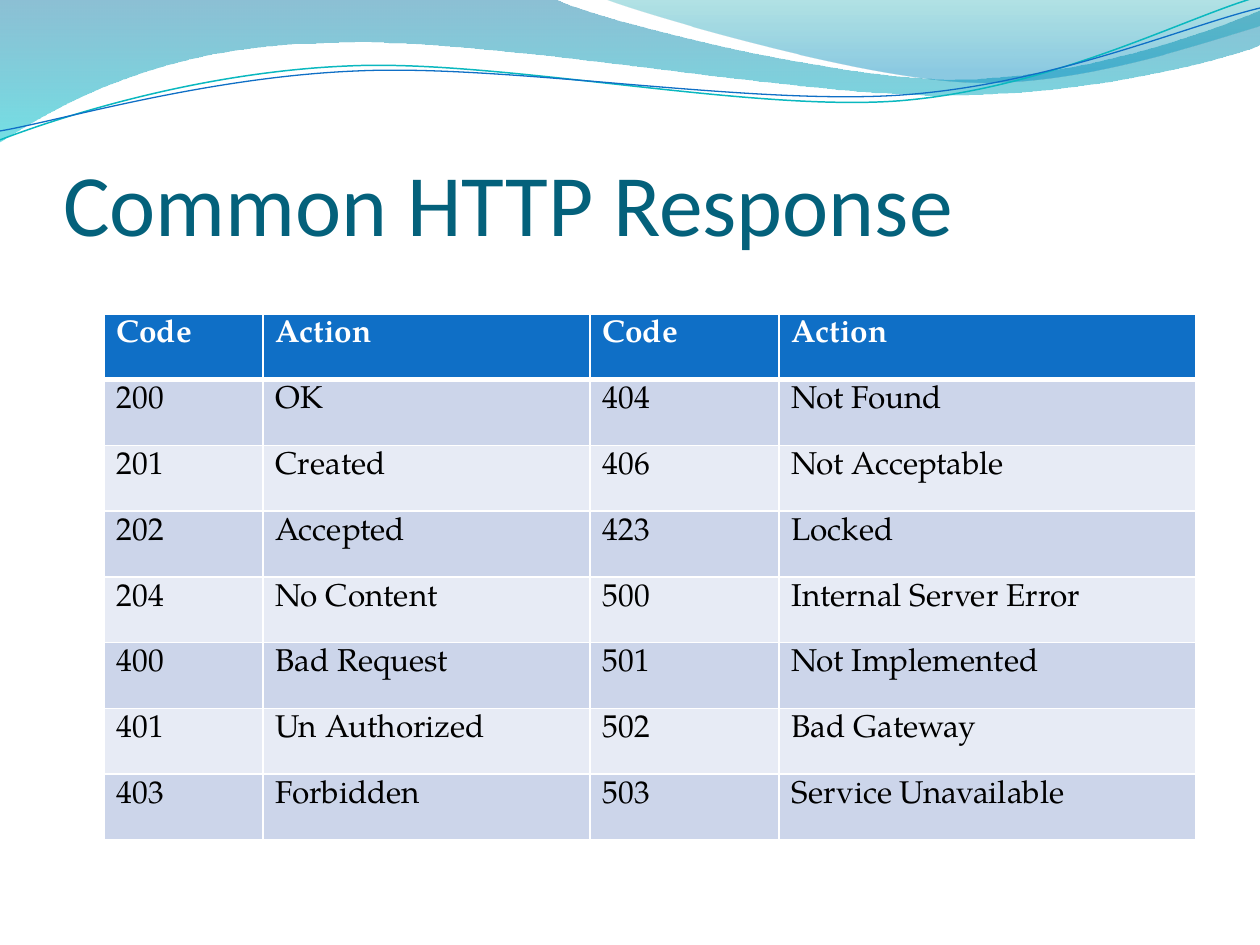
from math import cos, radians, sin

from lxml import etree
from pptx import Presentation
from pptx.dml.color import RGBColor
from pptx.enum.text import MSO_ANCHOR, PP_ALIGN
from pptx.oxml.ns import qn
from pptx.util import Emu, Pt

SCALE = 914400 / 126
TITLE_ONLY = 5
BOTTOM = MSO_ANCHOR.BOTTOM
LEFT = PP_ALIGN.LEFT
TILT = -2.7
COLORS = {
    "title": "04617B", "header": "0F6FC6", "odd": "CCD5EA", "even": "E7EBF5",
    "white": "FFFFFF", "black": "000000", "teal": "0AB8BF", "blue": "0F6FC6",
    "deep": "0074A1", "aqua": "00C6CF", "sea": "00A1A9", "sky": "008BBF",
}
FONTS = {"title": "Calibri", "body": "TeX Gyre Pagella"}


def color(name):
    """Return the named colour."""
    return RGBColor.from_string(COLORS[name])


def px(length):
    """Turn picture pixels into EMU."""
    return Emu(round(length * SCALE))


def turn(x, y, degrees):
    """Rotate a point clockwise about the origin."""
    angle = radians(degrees)
    return x * cos(angle) - y * sin(angle), x * sin(angle) + y * cos(angle)


class Page:
    """Holds the style and the current slide."""

    def __init__(self, deck):
        """Add a title-only slide."""
        self.slide = deck.slides.add_slide(deck.slide_layouts[TITLE_ONLY])

    def style(self, para, font, size, shade, bold=False):
        """Format every run of a paragraph."""
        for span in para.runs:
            span.font.name = FONTS[font]
            span.font.size = Pt(size)
            span.font.bold = bold
            span.font.color.rgb = color(shade)

    def outline(self, start, segments, closed):
        """Draw lines (one point) and cubic curves (three points) as a freeform."""
        corners = [start] + [point for segment in segments for point in segment]
        points = [(px(x), px(y)) for x, y in corners]
        builder = self.slide.shapes.build_freeform(*points[0])
        builder.add_line_segments(points[1:], close=closed)
        shape = builder.convert_to_shape()
        shape.shadow.inherit = False
        steps = iter(list(shape.element.spPr.iter(qn("a:lnTo"))))
        for segment in segments:
            first = next(steps)
            if len(segment) == 3:
                curve = etree.Element(qn("a:cubicBezTo"))
                first.addprevious(curve)
                for step in (first, next(steps), next(steps)):
                    curve.append(step[0])
                    step.getparent().remove(step)
        return shape

    def wave(self, start, segments, stops):
        """Draw a translucent wave with a vertical gradient."""
        shape = self.outline(start, segments, True)
        shape.line.fill.background()
        shape.fill.gradient()
        shape.fill.gradient_angle = 270
        for stop, (position, shade, opacity) in zip(shape.fill.gradient_stops, stops):
            stop.position = position
            stop.color.rgb = color(shade)
        tints = shape.element.spPr.iter(qn("a:srgbClr"))
        for tint, (position, shade, opacity) in zip(tints, stops):
            etree.SubElement(tint, qn("a:alpha"), val=str(opacity * 1000))

    def strand(self, start, segments, shade, width):
        """Draw a thin curved line as a tilted shape."""
        level = [[turn(x, y, -TILT) for x, y in segment] for segment in segments]
        shape = self.outline(turn(*start, -TILT), level, False)
        center = (shape.left + shape.width / 2, shape.top + shape.height / 2)
        x, y = turn(*center, TILT)
        shape.left = Emu(round(x - shape.width / 2))
        shape.top = Emu(round(y - shape.height / 2))
        shape.rotation = TILT
        shape.fill.background()
        shape.line.color.rgb = color(shade)
        shape.line.width = Pt(width)

    def title(self, text, left, top, width, height):
        """Place and format the title."""
        box = self.slide.shapes.title
        box.left, box.top, box.width, box.height = map(px, (left, top, width, height))
        frame = box.text_frame
        frame.text = text
        frame.vertical_anchor = BOTTOM
        frame.margin_left = frame.margin_right = frame.margin_bottom = 0
        frame.margin_top = Pt(3.6)
        para = frame.paragraphs[0]
        para.alignment = LEFT
        self.style(para, "title", 50, "title")

    def borders(self, cell, widths):
        """Draw the left, right, top and bottom borders of a cell."""
        properties = cell._tc.get_or_add_tcPr()
        for index, (side, width) in enumerate(zip("LRTB", widths)):
            line = etree.Element(qn("a:ln" + side), w=str(Pt(width)))
            fill = etree.SubElement(line, qn("a:solidFill"))
            etree.SubElement(fill, qn("a:srgbClr"), val=COLORS["white"])
            properties.insert(index, line)

    def table(self, rows, left, top, widths, height):
        """Add a banded table with a header row."""
        frame = self.slide.shapes.add_table(
            len(rows), len(widths), px(left), px(top), px(sum(widths)), px(height))
        grid = frame.table
        for column, width in zip(grid.columns, widths):
            column.width = px(width)
        for index, texts in enumerate(rows):
            grid.rows[index].height = px(height / len(rows))
            header = index == 0
            band = "header" if header else ("odd" if index % 2 else "even")
            for cell, text in zip(grid.rows[index].cells, texts):
                cell.text = text
                cell.fill.solid()
                cell.fill.fore_color.rgb = color(band)
                self.style(cell.text_frame.paragraphs[0], "body", 18,
                           "white" if header else "black", header)
                self.borders(cell, (1, 1, 3 if index == 1 else 1, 3 if header else 1))


deck = Presentation()
deck.slide_width, deck.slide_height = px(1260), px(945)
page = Page(deck)

page.wave((0, 0), [
    [(554, -1)],
    [(600, 21), (837, 79), (955, 79)],
    [(1075, 79), (1207, 33), (1260, 11)],
    [(1261, 45)],
    [(1239, 55), (1096, 96), (940, 95)],
    [(783, 95), (481, 35), (324, 43)],
    [(163, 45), (58, 105), (-1, 142)],
], [(0, "deep", 45), (1, "aqua", 55)])
page.wave((604, -1), [
    [(641, 14), (859, 78), (969, 82)],
    [(1079, 87), (1211, 40), (1260, 26)],
    [(1260, 0)],
], [(0, "sea", 30), (0.8, "sky", 45)])
page.strand((0, 140), [
    [(60, 117), (199, 72), (349, 66)],
    [(498, 59), (747, 112), (898, 101)],
    [(1050, 89), (1182, 19), (1257, -3)],
], "teal", 0.85)
page.strand((0, 131), [
    [(59, 121), (207, 77), (357, 71)],
    [(508, 64), (752, 106), (903, 95)],
    [(1053, 84), (1185, 26), (1260, 8)],
], "blue", 0.75)

page.title("Common HTTP Response", 63, 96, 1134, 158)
page.table([
    ("Code", "Action", "Code", "Action"),
    ("200", "OK", "404", "Not Found"),
    ("201", "Created", "406", "Not Acceptable"),
    ("202", "Accepted", "423", "Locked"),
    ("204", "No Content", "500", "Internal Server Error"),
    ("400", "Bad Request", "501", "Not Implemented"),
    ("401", "Un Authorized", "502", "Bad Gateway"),
    ("403", "Forbidden", "503", "Service Unavailable"),
], 104, 314, (159, 327, 189, 417), 526)

deck.save("out.pptx")
